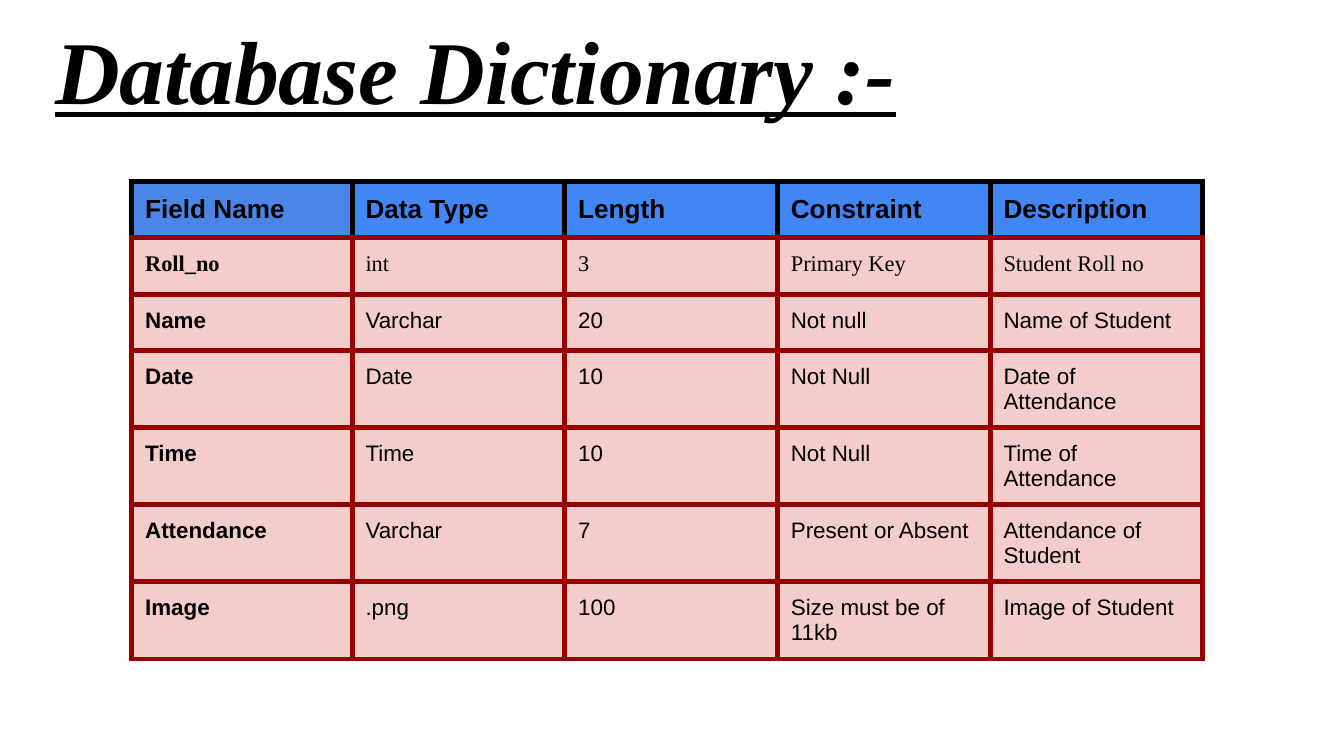
from dataclasses import dataclass

from lxml import etree
from pptx import Presentation
from pptx.dml.color import RGBColor
from pptx.enum.text import MSO_ANCHOR, PP_ALIGN
from pptx.oxml.ns import qn
from pptx.util import Inches, Pt

LEFT = PP_ALIGN.LEFT
TOP, BOTTOM = MSO_ANCHOR.TOP, MSO_ANCHOR.BOTTOM
TITLE_ONLY_LAYOUT = 5


@dataclass(frozen=True)
class Theme:
    ink: str = "000000"
    rule: str = "980000"
    first_header_fill: str = "4A86E8"
    header_fill: str = "4285F4"
    body_fill: str = "F4CCCC"
    serif: str = "Times New Roman"
    sans: str = "Arial"
    title_size: int = 48
    header_size: int = 14
    body_size: int = 12
    border_width: int = 3
    inset: float = 0.1


THEME = Theme()

FIELDS = [
    ("Field Name", "Data Type", "Length", "Constraint", "Description"),
    ("Roll_no", "int", "3", "Primary Key", "Student Roll no"),
    ("Name", "Varchar", "20", "Not null", "Name of Student"),
    ("Date", "Date", "10", "Not Null", "Date of Attendance"),
    ("Time", "Time", "10", "Not Null", "Time of Attendance"),
    ("Attendance", "Varchar", "7", "Present or Absent", "Attendance of Student"),
    ("Image", ".png", "100", "Size must be of 11kb", "Image of Student"),
]
SERIF_ROW = 1
FIRST_COLUMN_WIDTH = 1.64
ROW_HEIGHT = 0.42


def style_font(font, name, size, bold):
    font.name = name
    font.size = Pt(size)
    font.bold = bold
    font.color.rgb = RGBColor.from_string(THEME.ink)


def set_insets(target):
    """Give a text frame or a table cell the same inset on every side."""
    target.margin_left = target.margin_right = Inches(THEME.inset)
    target.margin_top = target.margin_bottom = Inches(THEME.inset)


def set_borders(cell, side_color, bottom_color):
    properties = cell._tc.get_or_add_tcPr()
    for side in ("lnL", "lnR", "lnT", "lnB"):
        line = etree.SubElement(properties, qn(f"a:{side}"), w=str(Pt(THEME.border_width)))
        fill = etree.SubElement(line, qn("a:solidFill"))
        color = bottom_color if side == "lnB" else side_color
        etree.SubElement(fill, qn("a:srgbClr"), val=color)


def add_title(slide, left, top, width, height):
    title = slide.shapes.title
    title.left, title.top = Inches(left), Inches(top)
    title.width, title.height = Inches(width), Inches(height)
    frame = title.text_frame
    frame.text = "Database Dictionary :-"
    frame.word_wrap = True
    frame.vertical_anchor = BOTTOM
    set_insets(frame)
    paragraph = frame.paragraphs[0]
    paragraph.alignment = LEFT
    style_font(paragraph.font, THEME.serif, THEME.title_size, True)
    paragraph.font.italic = True
    paragraph.font.underline = True


def fill_cell(cell, text, row, column):
    is_header = row == 0
    cell.text = text
    cell.vertical_anchor = TOP
    set_insets(cell)

    # Borders come before the fill in the cell properties
    set_borders(cell, THEME.ink if is_header else THEME.rule, THEME.rule)
    if is_header:
        color = THEME.first_header_fill if column == 0 else THEME.header_fill
    else:
        color = THEME.body_fill
    cell.fill.solid()
    cell.fill.fore_color.rgb = RGBColor.from_string(color)

    paragraph = cell.text_frame.paragraphs[0]
    paragraph.alignment = LEFT
    style_font(
        paragraph.font,
        THEME.serif if row == SERIF_ROW else THEME.sans,
        THEME.header_size if is_header else THEME.body_size,
        is_header or column == 0,
    )


def add_dictionary_table(slide, left, top, width):
    column_count = len(FIELDS[0])
    frame = slide.shapes.add_table(
        len(FIELDS), column_count, Inches(left), Inches(top),
        Inches(width), Inches(ROW_HEIGHT * len(FIELDS)),
    )
    table = frame.table
    table.first_row = False
    table.horz_banding = False

    # The columns after the first share the remaining width equally
    other_width = (width - FIRST_COLUMN_WIDTH) / (column_count - 1)
    for index, column in enumerate(table.columns):
        column.width = Inches(other_width if index else FIRST_COLUMN_WIDTH)
    for row, values in enumerate(FIELDS):
        table.rows[row].height = Inches(ROW_HEIGHT)
        for column, text in enumerate(values):
            fill_cell(table.cell(row, column), text, row, column)


def main():
    presentation = Presentation()
    presentation.slide_width = Inches(10)
    presentation.slide_height = Inches(10 * 9 / 16)
    slide = presentation.slides.add_slide(presentation.slide_layouts[TITLE_ONLY_LAYOUT])
    add_title(slide, 0.31, 0, 9.32, 1.01)
    add_dictionary_table(slide, 0.98, 1.35, 7.97)
    presentation.save("out.pptx")


if __name__ == "__main__":
    main()
